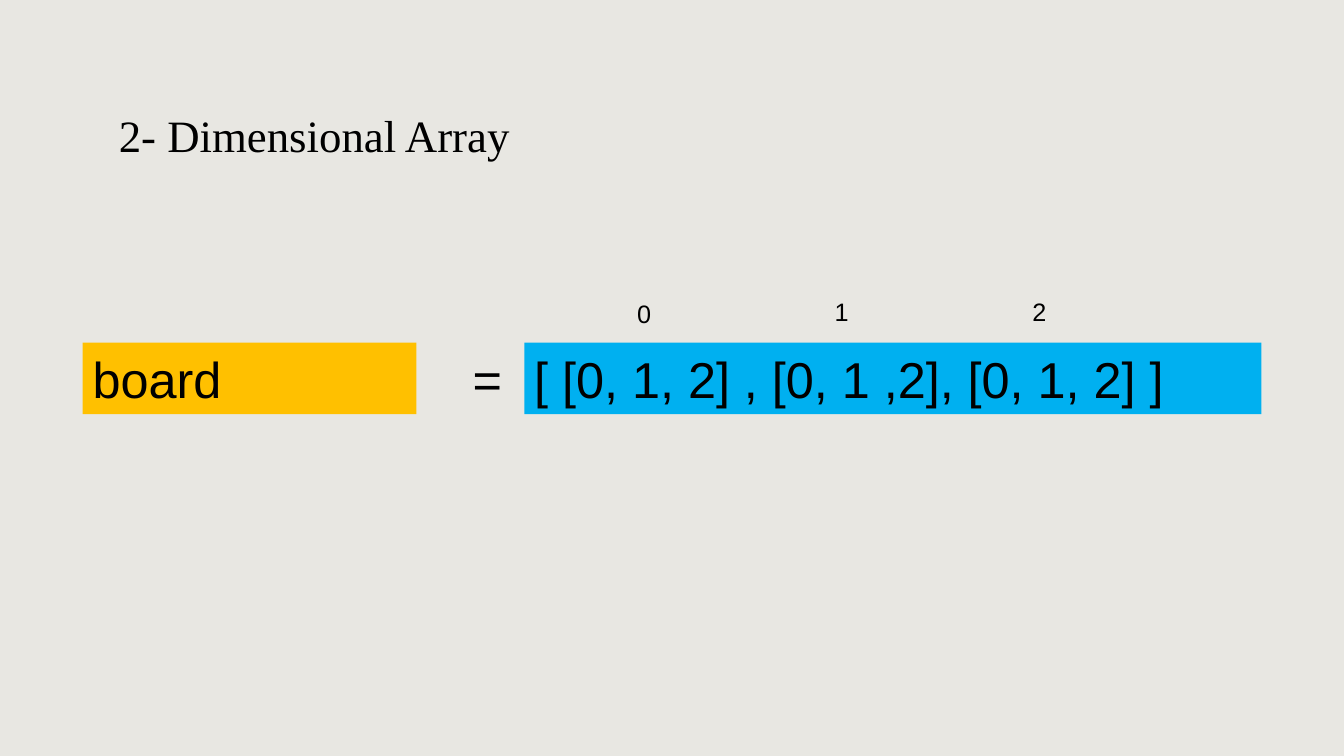
"""Builds a slide that shows a two-dimensional array with its indexes."""
from dataclasses import dataclass
from typing import Optional

from pptx import Presentation
from pptx import util as u
from pptx.dml.color import RGBColor
from pptx.enum import text

PX = 9144
PAPER = RGBColor(0xE8, 0xE7, 0xE2)
INK = RGBColor(0x00, 0x00, 0x00)
AMBER = RGBColor(0xFF, 0xC0, 0x00)
SKY = RGBColor(0x00, 0xB0, 0xF0)

ROW_TOP, ROW_HEIGHT = 340, 71
INDEX_LEFT, INDEX_STEP = 622, 196
INDEX_TOPS = (291, 289, 289)


@dataclass(frozen=True)
class Label:
    """A line of text in a box, with lengths in px and size in points."""

    words: str
    left: int
    top: int
    width: int
    height: int
    size: int
    fill: Optional[RGBColor] = None
    font: str = "Arial"
    anchor: text.MSO_ANCHOR = text.MSO_ANCHOR.TOP
    wrap: bool = True
    fit: text.MSO_AUTO_SIZE = text.MSO_AUTO_SIZE.SHAPE_TO_FIT_TEXT


TITLE = Label("2- Dimensional Array", 108, 43, 1117, 122, 32,
              font="Times New Roman", anchor=text.MSO_ANCHOR.BOTTOM,
              fit=text.MSO_AUTO_SIZE.NONE)
ASSIGNMENT = (
    Label("board", 82, ROW_TOP, 331, ROW_HEIGHT, 36, AMBER),
    Label("=", 459, ROW_TOP, 138, ROW_HEIGHT, 36),
    Label("[ [0, 1, 2] , [0, 1 ,2], [0, 1, 2] ]",
          520, ROW_TOP, 731, ROW_HEIGHT, 36, SKY),
)
INDEXES = tuple(
    Label(str(index), INDEX_LEFT + index * INDEX_STEP, top, 35, 40, 18, wrap=False)
    for index, top in enumerate(INDEX_TOPS)
)


def apply_format(target: object, values: dict) -> None:
    """Set each named attribute on the target."""
    for name, value in values.items():
        setattr(target, name, value)


def draw_label(shapes, label: Label) -> None:
    """Add one label to a shape collection."""
    box = shapes.add_textbox(label.left * PX, label.top * PX,
                             label.width * PX, label.height * PX)
    if label.fill is not None:
        box.fill.solid()
        box.fill.fore_color.rgb = label.fill
    frame = box.text_frame
    apply_format(frame, {"word_wrap": label.wrap, "auto_size": label.fit,
                         "vertical_anchor": label.anchor})
    span = frame.paragraphs[0].add_run()
    span.text = label.words
    apply_format(span.font, {"name": label.font, "size": u.Pt(label.size)})
    span.font.color.rgb = INK


def main() -> None:
    """Build and save the deck."""
    deck = Presentation()
    apply_format(deck, {"slide_width": 1333 * PX, "slide_height": 750 * PX})
    page = deck.slides.add_slide(deck.slide_layouts[6])
    page.background.fill.solid()
    page.background.fill.fore_color.rgb = PAPER

    draw_label(page.shapes, TITLE)
    row = page.shapes.add_group_shape()
    for label in ASSIGNMENT:
        draw_label(row.shapes, label)
    for label in INDEXES:
        draw_label(page.shapes, label)
    deck.save("out.pptx")


if __name__ == "__main__":
    main()
